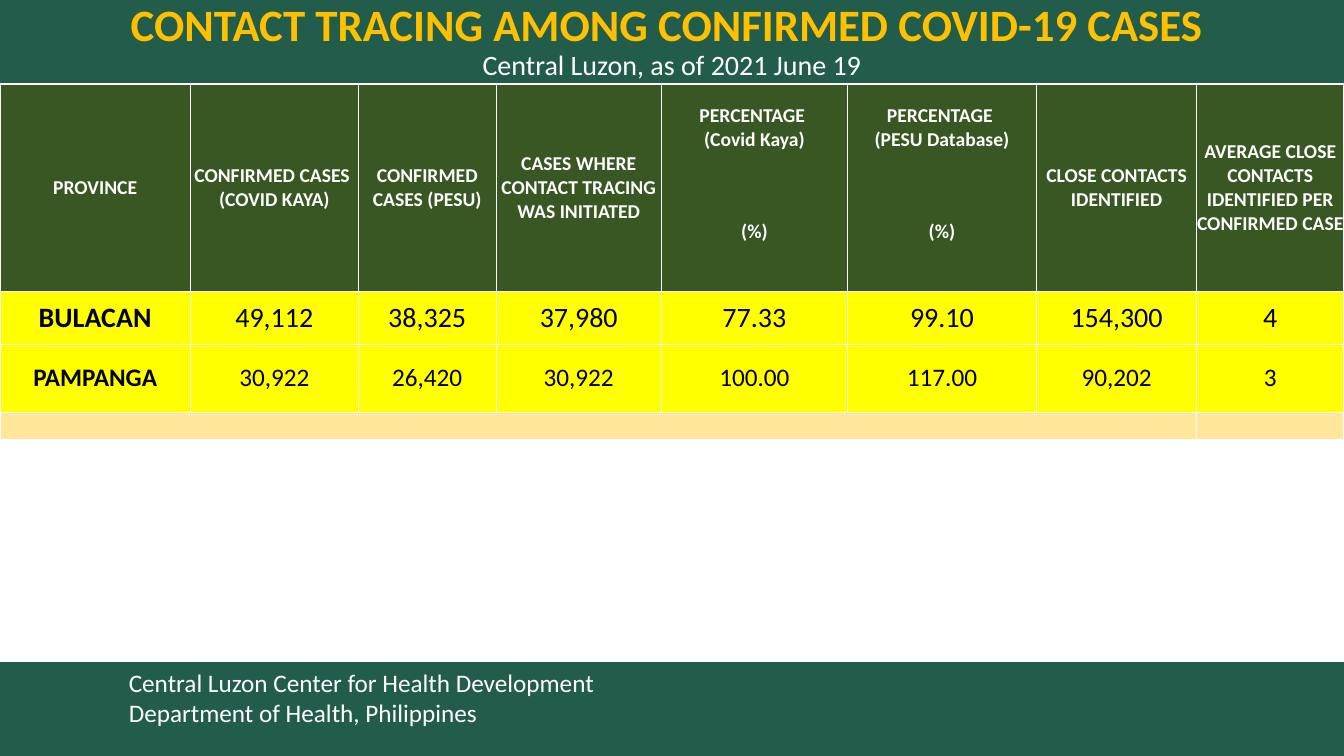
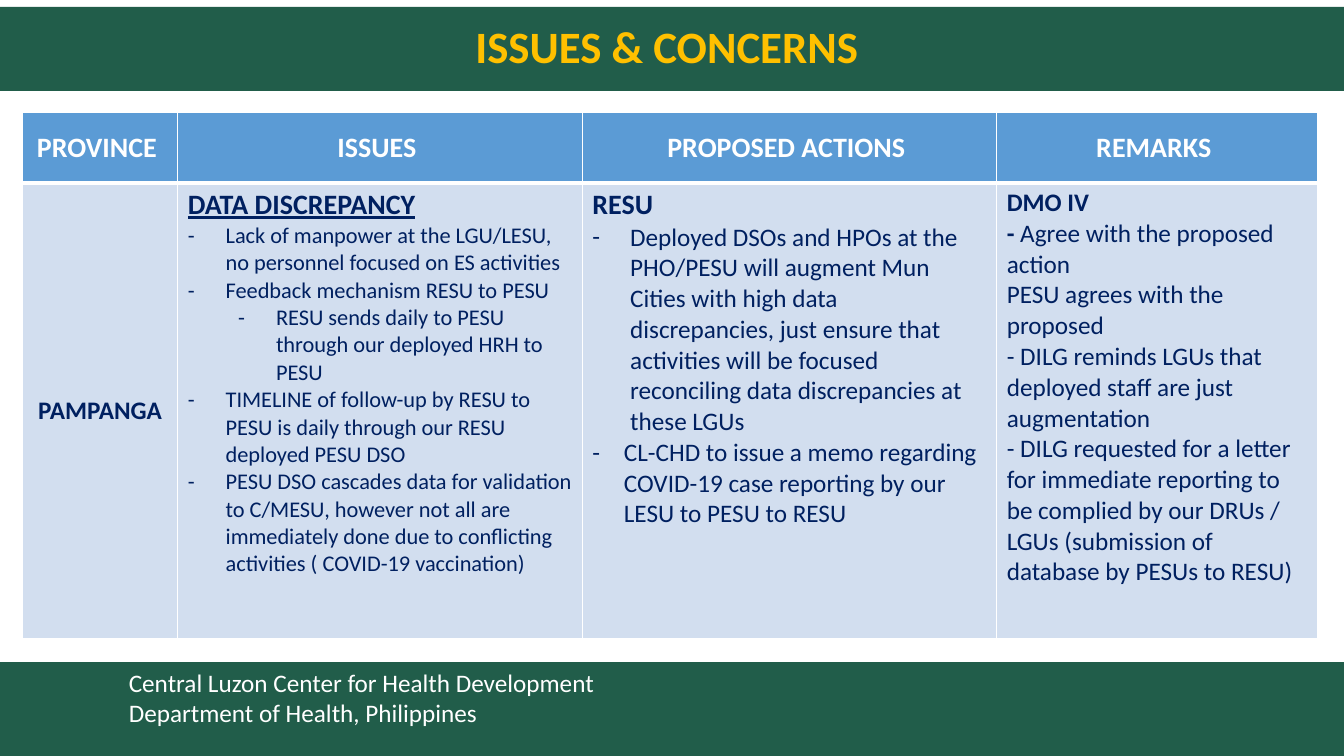
from dataclasses import dataclass

from lxml.etree import SubElement
from pptx import Presentation
from pptx.dml.color import RGBColor
from pptx.enum.shapes import MSO_SHAPE
from pptx.enum.text import MSO_ANCHOR, MSO_AUTO_SIZE, PP_ALIGN
from pptx.oxml.ns import qn
from pptx.slide import Slide
from pptx.table import Table, _Cell
from pptx.text.text import Font, _Paragraph
from pptx.util import Pt

WIDE, HIGH = 960, 540
FACE = "Calibri"
GREEN, GOLD, WHITE, BLACK = "215D4A", "FFC000", "FFFFFF", "000000"
OLIVE, YELLOW, CREAM = "385723", "FFFF00", "FFE699"
BLUE, PALE, NAVY = "5B9BD5", "D2DEEF", "002060"
BAND = 60
FOOT_TOP = 473


@dataclass(frozen=True)
class Para:
    text: str
    size: float = 18
    color: str = NAVY
    bold: bool = False
    under: bool = False
    center: bool = False
    left: float = 0
    hang: float = 0
    level: int = 0
    lead: str = ""  # bold opening run


@dataclass(frozen=True)
class Box:
    paras: list[Para]
    fill: str
    top: float = 1  # border widths
    bottom: float = 1
    tight: bool = False
    middle: bool = True


def paint(item, tone: str) -> None:
    item.fill.solid()
    item.fill.fore_color.rgb = RGBColor.from_string(tone)


def style(font: Font, size: float, color: str, bold: bool = False) -> None:
    font.name, font.size, font.bold = FACE, Pt(size), bold
    font.color.rgb = RGBColor.from_string(color)


def bullet(par: _Paragraph, item: Para) -> None:
    props = par._p.get_or_add_pPr()
    props.set("marL", str(Pt(item.left)))
    props.set("indent", str(-Pt(item.hang)))
    SubElement(props, qn("a:buFont"), typeface=FACE)
    SubElement(props, qn("a:buChar"), char="-")


def write(par: _Paragraph, item: Para) -> None:
    par.alignment = PP_ALIGN.CENTER if item.center else PP_ALIGN.LEFT
    par.level = item.level
    if item.hang:
        bullet(par, item)
    style(par.font, item.size, item.color, item.bold)
    if item.under:
        par.font.underline = True
    if item.lead:
        run = par.add_run()
        run.text, run.font.bold = item.lead, True
    if item.text:
        par.add_run().text = item.text


def fill_text(frame, paras: list[Para]) -> None:
    for i, item in enumerate(paras):
        write(frame.add_paragraph() if i else frame.paragraphs[0], item)


def rule(cell: _Cell, top: float, bottom: float) -> None:
    """Draw white borders; a zero width hides the edge."""
    props = cell._tc.get_or_add_tcPr()
    for edge, width in zip("LRTB", (1, 1, top, bottom)):
        line = SubElement(props, qn(f"a:ln{edge}"), w=str(Pt(width)))
        if width:
            tone = SubElement(line, qn("a:solidFill"))
            SubElement(tone, qn("a:srgbClr"), val=WHITE)
        else:
            SubElement(line, qn("a:noFill"))


def set_cell(cell: _Cell, box: Box) -> None:
    rule(cell, box.top, box.bottom)
    paint(cell, box.fill)
    cell.vertical_anchor = MSO_ANCHOR.MIDDLE if box.middle else MSO_ANCHOR.TOP
    if box.tight:
        cell.margin_left = cell.margin_right = Pt(0)
        cell.margin_top = cell.margin_bottom = Pt(0)
    fill_text(cell.text_frame, box.paras)


def add_grid(slide: Slide, left: float, top: float, cols: list[float],
             rows: list[float], boxes: list[list[Box]]) -> Table:
    grid = slide.shapes.add_table(len(rows), len(cols), Pt(left), Pt(top),
                                  Pt(sum(cols)), Pt(sum(rows))).table
    grid.first_row = grid.horz_banding = False
    for col, width in zip(grid.columns, cols):
        col.width = Pt(width)
    for r, (row, height) in enumerate(zip(grid.rows, rows)):
        row.height = Pt(height)
        for c, box in enumerate(boxes[r]):
            set_cell(grid.cell(r, c), box)
    return grid


def add_page(deck, head: str, sub: str = "", top: float = 0) -> Slide:
    """Add a slide with its title band and footer."""
    slide = deck.slides.add_slide(deck.slide_layouts[5])
    title = slide.shapes.title
    title.left, title.top = Pt(0), Pt(top)
    title.width, title.height = Pt(WIDE), Pt(BAND)
    paint(title, GREEN)
    frame = title.text_frame
    frame.auto_size = MSO_AUTO_SIZE.NONE
    frame.vertical_anchor = MSO_ANCHOR.MIDDLE
    par = frame.paragraphs[0]
    par.line_spacing = 0.9
    write(par, Para(head, 32, GOLD, True, center=True))
    if sub:
        par.add_line_break()
        run = par.add_run()
        run.text = sub
        style(run.font, 20, WHITE)

    foot = slide.shapes.add_shape(MSO_SHAPE.RECTANGLE, Pt(0), Pt(FOOT_TOP),
                                  Pt(WIDE), Pt(HIGH - FOOT_TOP))
    foot.shadow.inherit = False
    foot.line.fill.background()
    paint(foot, GREEN)
    foot.text_frame.margin_left = Pt(92)
    foot.text_frame.vertical_anchor = MSO_ANCHOR.TOP
    fill_text(foot.text_frame, [
        Para("Central Luzon Center for Health Development", color=WHITE),
        Para("Department of Health, Philippines", color=WHITE),
    ])
    return slide


def head_box(lines: list[str], top: float, bottom: float) -> Box:
    paras = [Para(t, 14, WHITE, True, center=True) for t in lines]
    return Box(paras or [Para("", 12)], OLIVE, top, bottom, tight=True)


def trace_page(deck) -> None:
    slide = add_page(deck, "CONTACT TRACING AMONG CONFIRMED COVID-19 CASES ",
                     "Central Luzon, as of 2021 June 19")
    heads = [
        ["PROVINCE"],
        ["CONFIRMED CASES ", "(COVID KAYA)"],
        ["CONFIRMED CASES (PESU)"],
        ["CASES WHERE CONTACT TRACING WAS INITIATED"],
        ["PERCENTAGE ", "(Covid Kaya)"],
        ["PERCENTAGE ", "(PESU Database)"],
        ["CLOSE CONTACTS IDENTIFIED"],
        ["AVERAGE CLOSE CONTACTS IDENTIFIED PER CONFIRMED CASE"],
    ]
    data = [
        (20, "BULACAN 49,112 38,325 37,980 77.33 99.10 154,300 4"),
        (18, "PAMPANGA 30,922 26,420 30,922 100.00 117.00 90,202 3"),
    ]
    split = (4, 5)
    last = len(heads) - 1
    boxes = [
        [head_box(lines, 1, 0) for lines in heads],
        [head_box(["(%)"] if c in split else [], 0, 1)
         for c in range(len(heads))],
    ]
    for size, line in data:
        boxes.append([
            Box([Para(text, size, BLACK, c == 0, center=True)], YELLOW,
                tight=True)
            for c, text in enumerate(line.split())])
    boxes.append([Box([Para("", 12)], CREAM, tight=True) for _ in heads])
    grid = add_grid(slide, 0, BAND,
                    [136, 120, 98.5, 118, 133, 135, 114.5, 105],
                    [63, 85, 38, 48.5, 19.5], boxes)
    for c in range(len(heads)):
        if c not in split:
            grid.cell(0, c).merge(grid.cell(1, c))
    grid.cell(4, 0).merge(grid.cell(4, last - 1))


def dash(text: str, size: float, left: float = 27, hang: float = 27,
         level: int = 0) -> Para:
    return Para(text, size, left=left, hang=hang, level=level)


def issue_page(deck) -> None:
    slide = add_page(deck, "ISSUES & CONCERNS ", top=5)
    heads = ["PROVINCE ", "ISSUES ", "PROPOSED ACTIONS ", "REMARKS "]
    place = [Para("PAMPANGA", bold=True, center=True)]
    issues = [
        Para("DATA DISCREPANCY", 20, bold=True, under=True),
        dash("Lack of manpower at the LGU/LESU, no personnel focused on ES "
             "activities", 16),
        dash("Feedback mechanism RESU to PESU", 16),
        dash("RESU sends daily to PESU through our deployed HRH to PESU", 16,
             left=63, level=1),
        dash("TIMELINE of follow-up by RESU to PESU is daily through our RESU "
             "deployed PESU DSO", 16),
        dash("PESU DSO cascades data for validation to C/MESU, however not "
             "all are immediately done due to conflicting activities "
             "( COVID-19 vaccination)", 16),
    ]
    acts = [
        Para("RESU", 20, bold=True),
        dash("Deployed DSOs and HPOs at the PHO/PESU will augment Mun Cities "
             "with high data discrepancies, just ensure that activities will "
             "be focused reconciling data discrepancies at these LGUs", 18),
        dash("CL-CHD to issue a memo regarding COVID-19 case reporting by our "
             "LESU to PESU to RESU", 18, 22.5, 22.5),
    ]
    notes = [
        Para("DMO IV", bold=True),
        Para("Agree with the proposed action", lead="- "),
        Para("PESU agrees with the proposed"),
        Para("- DILG reminds LGUs that deployed staff are just augmentation"),
        Para("- DILG requested for a letter for immediate reporting to be "
             "complied by our DRUs / LGUs (submission of database by PESUs "
             "to RESU)"),
    ]
    boxes = [
        [Box([Para(t, 20, WHITE, True, center=True)], BLUE, bottom=3)
         for t in heads],
        [Box(paras, PALE, top=3, middle=paras is place)
         for paras in (place, issues, acts, notes)],
    ]
    add_grid(slide, 16, 80.5, [111, 289, 296, 229], [50, 326], boxes)


def main() -> None:
    deck = Presentation()
    deck.slide_width, deck.slide_height = Pt(WIDE), Pt(HIGH)
    trace_page(deck)
    issue_page(deck)
    deck.save("out.pptx")


if __name__ == "__main__":
    main()
